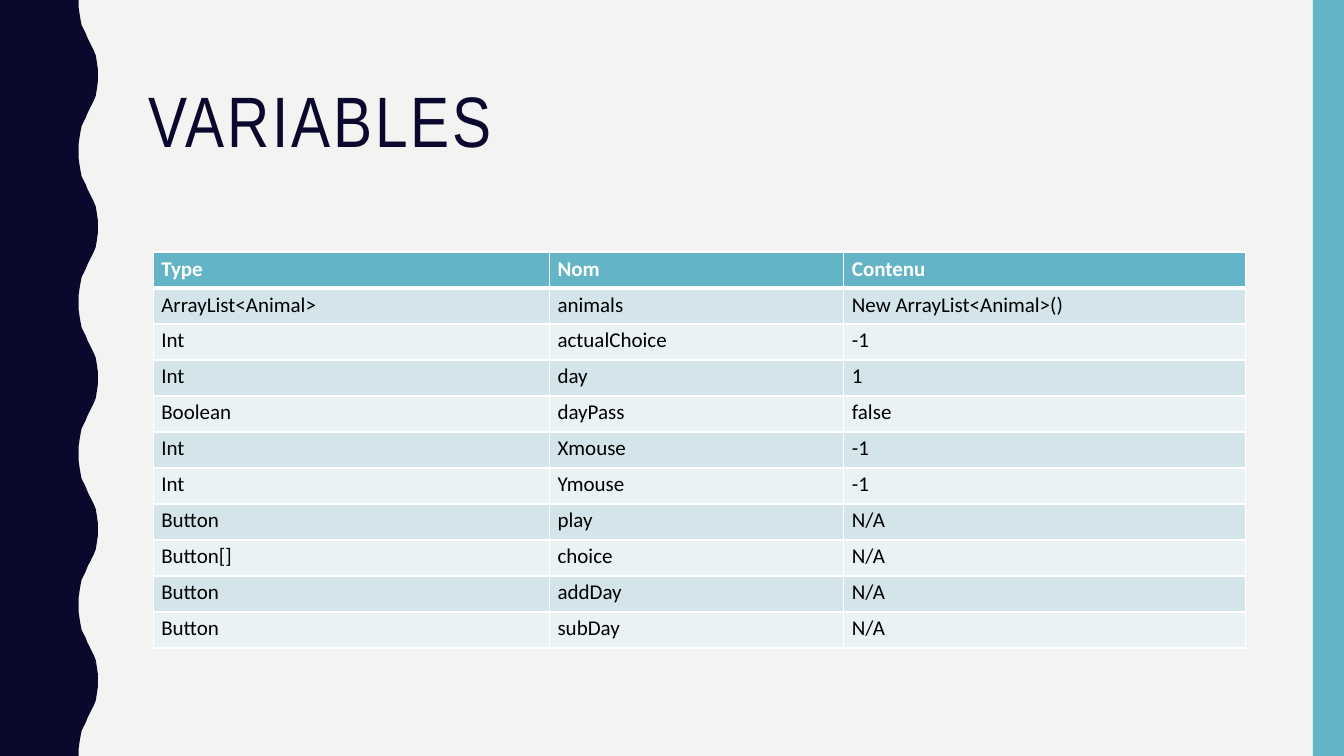
import pptx
import pptx.util
import pptx.dml.color
import pptx.enum.shapes
import pptx.enum.text
import pptx.oxml
import pptx.oxml.ns

Inches = pptx.util.Inches
Pt = pptx.util.Pt
RGBColor = pptx.dml.color.RGBColor

NAVY = RGBColor(0x0B, 0x08, 0x2E)
TEAL = RGBColor(0x62, 0xB4, 0xC6)
PAPER = RGBColor(0xF3, 0xF3, 0xF2)
WHITE = RGBColor(0xFF, 0xFF, 0xFF)
BLACK = RGBColor(0, 0, 0)
BANDS = [RGBColor(0xEA, 0xF2, 0xF5), RGBColor(0xD3, 0xE5, 0xEA)]

HALF_WAVE = [
    (0, 0), (0, 0.07), (0.01, 0.14), (0.02, 0.2), (0.03, 0.25),
    (0.05, 0.29), (0.07, 0.33), (0.09, 0.38), (0.11, 0.42), (0.13, 0.46),
    (0.15, 0.5), (0.17, 0.55), (0.18, 0.61), (0.19, 0.68), (0.19, 0.75),
]
WAVE_PERIOD = 1.5
WAVE_COUNT = 5

COLUMN_WIDTHS = [3.93, 2.92, 3.98]
ROWS = [
    ("Type", "Nom", "Contenu"),
    ("ArrayList<Animal>", "animals", "New ArrayList<Animal>()"),
    ("Int", "actualChoice", "-1"),
    ("Int", "day", "1"),
    ("Boolean", "dayPass", "false"),
    ("Int", "Xmouse", "-1"),
    ("Int", "Ymouse", "-1"),
    ("Button", "play", "N/A"),
    ("Button[]", "choice", "N/A"),
    ("Button", "addDay", "N/A"),
    ("Button", "subDay", "N/A"),
]


def apply_format(target, values):
    for name, value in values.items():
        setattr(target, name, value)


def paint(shape, color):
    shape.shadow.inherit = False
    shape.fill.solid()
    shape.fill.fore_color.rgb = color
    shape.line.fill.background()


def add_wave(s, left, top, trough, height):
    rising = [(trough + dx, dy) for dx, dy in HALF_WAVE]
    falling = [(x, WAVE_PERIOD - dy) for x, dy in reversed(rising[:-1])]
    edge = [(left + x, top + i * WAVE_PERIOD + y)
            for i in range(WAVE_COUNT) for x, y in rising + falling]
    builder = s.shapes.build_freeform(Inches(left), Inches(top))
    points = edge + [(left, top + height)]
    builder.add_line_segments([(Inches(x), Inches(y)) for x, y in points])
    paint(builder.convert_to_shape(), NAVY)


def add_side_bar(s, left, top, width, height):
    bar = s.shapes.add_shape(
        pptx.enum.shapes.MSO_SHAPE.RECTANGLE,
        Inches(left), Inches(top), Inches(width), Inches(height))
    paint(bar, TEAL)


def add_title(s, left, top, width, height):
    title = s.shapes.title
    apply_format(title, {"left": Inches(left), "top": Inches(top),
                         "width": Inches(width), "height": Inches(height)})
    tf = title.text_frame
    apply_format(tf, {"word_wrap": True,
                      "auto_size": pptx.enum.text.MSO_AUTO_SIZE.NONE,
                      "vertical_anchor": pptx.enum.text.MSO_ANCHOR.MIDDLE})
    p = tf.paragraphs[0]
    apply_format(p, {"alignment": pptx.enum.text.PP_ALIGN.LEFT,
                     "line_spacing": 0.9})
    r = p.add_run()
    r.text = "VARIABLES"
    apply_format(r.font, {"name": "Arial Narrow", "size": Pt(51)})
    r.font.color.rgb = NAVY
    r._r.get_or_add_rPr().set("spc", "200")


def add_borders(cell, widths):
    properties = cell._tc.get_or_add_tcPr()
    for side, width in widths.items():
        properties.append(pptx.oxml.parse_xml(
            f'<a:{side} {pptx.oxml.ns.nsdecls("a")} w="{Pt(width)}">'
            f'<a:solidFill><a:srgbClr val="{WHITE}"/></a:solidFill></a:{side}>'))


def fill_cell(cell, text, row):
    header = row == 0
    add_borders(cell, {"lnL": 1, "lnR": 1, "lnT": 3 if row == 1 else 1,
                       "lnB": 3 if header else 1})
    cell.fill.solid()
    cell.fill.fore_color.rgb = TEAL if header else BANDS[row % 2]
    apply_format(cell, {"margin_left": Inches(0.08), "margin_right": Inches(0.08),
                        "margin_top": Inches(0.04), "margin_bottom": Inches(0.04)})
    r = cell.text_frame.paragraphs[0].add_run()
    r.text = text
    apply_format(r.font, {"name": "Calibri", "size": Pt(15), "bold": header})
    r.font.color.rgb = WHITE if header else BLACK


def add_variable_table(s, left, top, width, height):
    table = s.shapes.add_table(
        len(ROWS), len(COLUMN_WIDTHS),
        Inches(left), Inches(top), Inches(width), Inches(height)).table
    for column, column_width in zip(table.columns, COLUMN_WIDTHS):
        column.width = Inches(column_width)
    for i, values in enumerate(ROWS):
        table.rows[i].height = Inches(height / len(ROWS))
        for j, text in enumerate(values):
            fill_cell(table.cell(i, j), text, i)


def main():
    prs = pptx.Presentation()
    prs.slide_width = Inches(13.33)
    prs.slide_height = Inches(7.5)
    s = prs.slides.add_slide(prs.slide_layouts[5])
    s.background.fill.solid()
    s.background.fill.fore_color.rgb = PAPER
    add_wave(s, 0, 0, 0.78, 7.5)
    add_side_bar(s, 13.02, 0, 0.31, 7.5)
    add_title(s, 1.37, 0.42, 11.13, 1.63)
    add_variable_table(s, 1.52, 2.5, 10.83, 3.93)
    prs.save("out.pptx")


if __name__ == "__main__":
    main()
